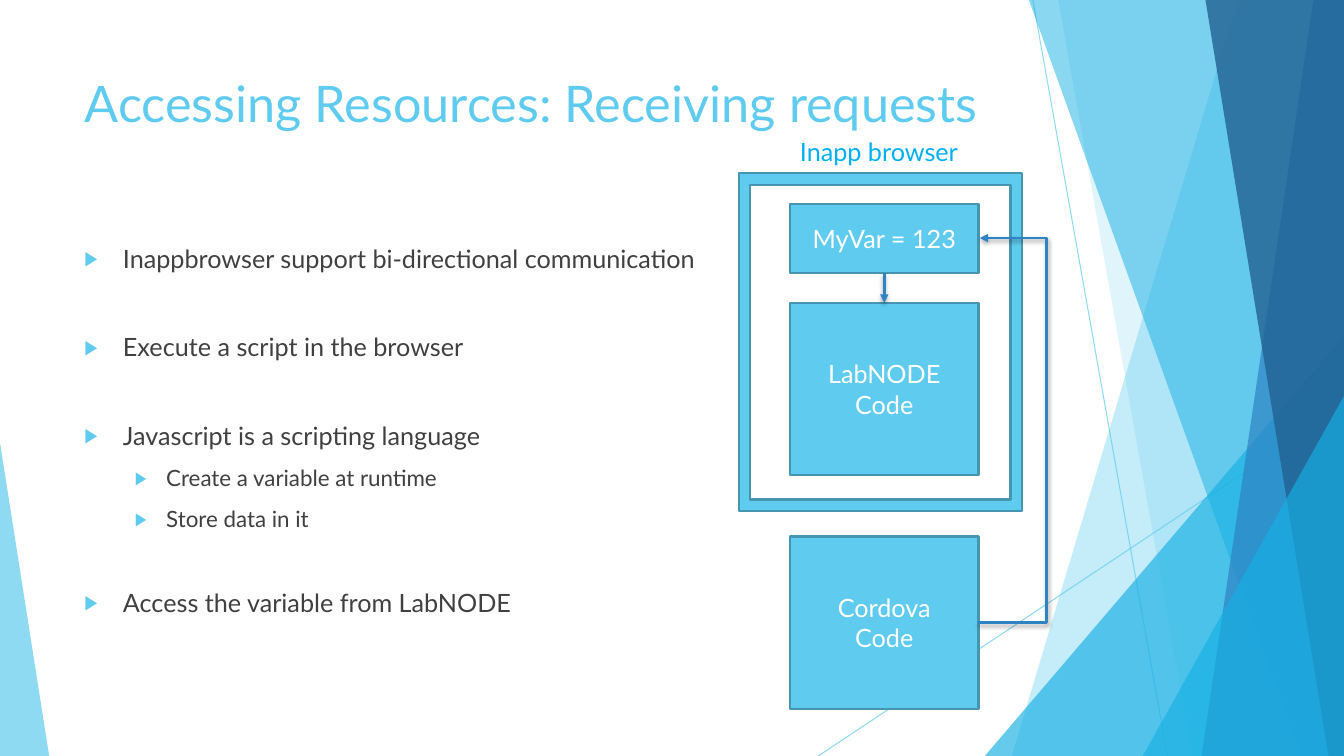
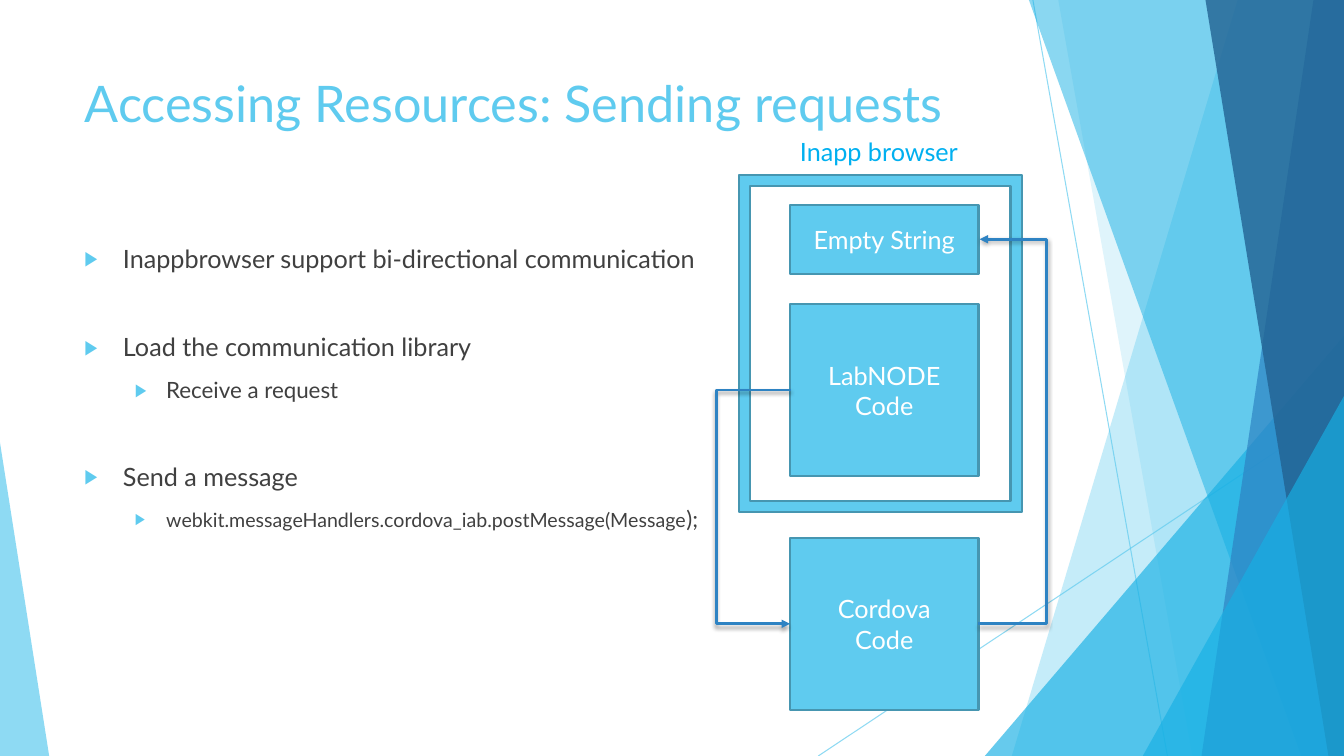
from pptx import Presentation
from pptx.dml.color import RGBColor
from pptx.enum.shapes import MSO_CONNECTOR, MSO_SHAPE
from pptx.enum.text import MSO_ANCHOR, MSO_AUTO_SIZE, PP_ALIGN
from pptx.oxml import parse_xml
from pptx.oxml.ns import nsdecls
from pptx.util import Cm, Pt

FONT = "Lato"
SKY, CYAN, BLUE, NAVY = "5FCBEF", "17B0E4", "2E83C3", "226292"
EDGE, LABEL, GREY, WHITE = "4696B1", "00B0F0", "404040", "FFFFFF"
WIDTH, HEIGHT = 33.87, 19.05
NS = nsdecls("a")


def paint(fill, colour):
    fill.solid()
    fill.fore_color.rgb = RGBColor.from_string(colour)


def write(para, text, size, colour):
    span = para.add_run()
    span.text = text
    span.font.name = FONT
    span.font.size = Pt(size)
    paint(span.font.fill, colour)


deck = Presentation()
deck.slide_width, deck.slide_height = Cm(WIDTH), Cm(HEIGHT)
layout = deck.slide_layouts[5]

# Facets from back to front: (kind, geometry, colour, opacity in percent)
# line: x1, y1, x2, y2; band: top x, bottom x; triangle: left, top, width, apex
FACETS = [
    ("line", (26.03, 0, 29.42, HEIGHT), SKY, 70),
    ("line", (WIDTH, 10.24, 20.62, HEIGHT), SKY, 70),
    ("band", (31.19, 25.5), SKY, 36),
    ("band", (26.67, 30.05), SKY, 20),
    ("triangle", (24.82, 8.46, 9.05, 1), CYAN, 66),
    ("band", (25.93, 32.79), CYAN, 50),
    ("band", (33.1, 30.28), BLUE, 70),
    ("band", (30.38, 33.48), NAVY, 80),
    ("triangle", (28.8, 9.98, 5.07, 1), CYAN, 66),
    ("triangle", (0, 11.15, 1.24, 0), SKY, 70),
]

# (title, list, variable box text, vertical shift, reply arrow)
# list entry: (level, space before, [(text, size), ...])
SLIDES = [
    ("Accessing Resources: Receiving requests", [
        (0, 0, [("Inappbrowser support bi-directional communication", 18)]),
        (0, 41.6, [("Execute a script in the browser", 18)]),
        (0, 41.6, [("Javascript is a scripting language", 18)]),
        (1, 10, [("Create a variable at runtime", 16)]),
        (1, 10, [("Store data in it", 16)]),
        (0, 39.2, [("Access the variable from LabNODE", 18)]),
    ], "MyVar = 123", 0, False),
    ("Accessing Resources: Sending requests", [
        (0, 0, [("Inappbrowser support bi-directional communication", 18)]),
        (0, 41.6, [("Load the communication library", 18)]),
        (1, 10, [("Receive a request", 16)]),
        (0, 41.6, [("Send a message", 18)]),
        (1, 10, [("webkit.messageHandlers.cordova_iab.postMessage(Message", 14),
                 (");", 16)]),
    ], "Empty String", 0.03, True),
]
INDENTS = [(0.97, -0.97), (2.06, -0.79)]  # left margin and hanging indent
BOX_LEFT, BOX_WIDTH = 19.91, 4.75
BOX_RIGHT = BOX_LEFT + BOX_WIDTH

pages = [deck.slides.add_slide(layout) for _ in SLIDES]

# Shared facets: drawn once, then moved behind the layout's placeholders
for number, (kind, geometry, colour, opacity) in enumerate(FACETS):
    shapes = pages[0].shapes
    if kind == "line":
        facet = shapes.add_connector(MSO_CONNECTOR.STRAIGHT, *map(Cm, geometry))
        facet.line.width = Pt(0.75)
        paint(facet.line.fill, colour)
        facet.element.spPr.append(parse_xml(f"<a:effectLst {NS}/>"))
    else:
        if kind == "band":
            top_x, bottom_x = geometry
            outline = shapes.build_freeform(Cm(top_x), Cm(0))
            outline.add_line_segments([(Cm(x), Cm(y)) for x, y in (
                (WIDTH, 0), (WIDTH, HEIGHT), (bottom_x, HEIGHT))])
            facet = outline.convert_to_shape()
        else:
            left, top, width, apex = geometry
            facet = shapes.add_shape(MSO_SHAPE.ISOSCELES_TRIANGLE, Cm(left), Cm(top),
                                     Cm(width), Cm(HEIGHT - top))
            facet.adjustments[0] = apex
        facet.shadow.inherit = False
        facet.line.fill.background()
        paint(facet.fill, colour)
    tint = facet.element.xpath(".//a:srgbClr")[0]
    tint.append(parse_xml(f'<a:alpha {NS} val="{opacity * 1000}"/>'))
    facet.element.xpath(".//p:cNvPr")[0].set("id", str(100 + number))
    layout.shapes.element.insert(2 + number, facet.element)

for page, (heading, entries, variable, shift, reply) in zip(pages, SLIDES):
    # Title
    title = page.shapes.title
    title.left, title.top, title.width, title.height = map(Cm, (1.88, 1.7, 23.88, 3.66))
    frame = title.text_frame
    frame.auto_size = MSO_AUTO_SIZE.NONE
    frame.word_wrap = True
    frame.vertical_anchor = MSO_ANCHOR.TOP
    frame.paragraphs[0].alignment = PP_ALIGN.LEFT
    write(frame.paragraphs[0], heading, 36, SKY)

    # Bulleted list
    frame = page.shapes.add_textbox(Cm(1.88), Cm(6), Cm(23.88), Cm(10.77)).text_frame
    frame.word_wrap = True
    for index, (level, space, spans) in enumerate(entries):
        para = frame.add_paragraph() if index else frame.paragraphs[0]
        margin, hanging = INDENTS[level]
        properties = para._p.get_or_add_pPr()
        properties.set("marL", str(Cm(margin)))
        properties.set("indent", str(Cm(hanging)))
        for bullet in (f'<a:buClr {NS}><a:srgbClr val="{SKY}"/></a:buClr>',
                       f'<a:buSzPct {NS} val="80000"/>',
                       f'<a:buFont {NS} typeface="{FONT}"/>',
                       f'<a:buChar {NS} char="▶"/>'):
            properties.append(parse_xml(bullet))
        para.level = level
        para.space_before = Pt(space)
        for text, size in spans:
            write(para, text, size, GREY)

    # Browser frame and boxes
    boxes = []
    for preset, left, top, width, height, lines in (
            (MSO_SHAPE.FRAME, 18.62, 4.37, 7.14, 8.51, []),
            (MSO_SHAPE.RECTANGLE, BOX_LEFT, 5.14, BOX_WIDTH, 1.73, [variable]),
            (MSO_SHAPE.RECTANGLE, BOX_LEFT, 7.63, BOX_WIDTH, 4.34, ["LabNODE", "Code"]),
            (MSO_SHAPE.RECTANGLE, BOX_LEFT, 13.52, BOX_WIDTH, 4.34, ["Cordova", "Code"])):
        box = page.shapes.add_shape(preset, Cm(left), Cm(top + shift), Cm(width), Cm(height))
        box.shadow.inherit = False
        paint(box.fill, SKY)
        paint(box.line.fill, EDGE)
        box.line.width = Pt(1.5)
        frame = box.text_frame
        frame.vertical_anchor = MSO_ANCHOR.MIDDLE
        for index, text in enumerate(lines):
            para = frame.add_paragraph() if index else frame.paragraphs[0]
            para.alignment = PP_ALIGN.CENTER
            write(para, text, 18, WHITE)
        boxes.append(box)
    browser, variable_box, code_box, cordova_box = boxes
    browser.adjustments[0] = 0.041

    # Browser label
    label = page.shapes.add_textbox(Cm(BOX_LEFT), Cm(3.32), Cm(4.57), Cm(1.02))
    label.text_frame.word_wrap = False
    write(label.text_frame.paragraphs[0], "Inapp browser", 18, LABEL)

    # Elbow arrows: begin x, y, end x, y and how far the bend reaches sideways
    elbows = [(BOX_RIGHT, 15.69, BOX_RIGHT + 0.03, 6, 1.72)]
    if reply:
        elbows.append((BOX_LEFT + 0.03, 9.8, BOX_LEFT, 15.69, 1.88))
    arrows = []
    for begin_x, begin_y, end_x, end_y, reach in elbows:
        arrow = page.shapes.add_connector(MSO_CONNECTOR.ELBOW, Cm(begin_x), Cm(begin_y + shift),
                                          Cm(end_x), Cm(end_y + shift))
        bend = round(reach / abs(end_x - begin_x) * 100000)
        guides = arrow.element.spPr.find(".//{*}prstGeom").get_or_add_avLst()
        guides.append(parse_xml(f'<a:gd {NS} name="adj1" fmla="val {bend}"/>'))
        arrows.append(arrow)

    # Straight arrow from the variable to the code
    if not reply:
        arrow = page.shapes.add_connector(MSO_CONNECTOR.STRAIGHT, 0, 0, 0, 0)
        arrow.begin_connect(variable_box, 2)
        arrow.end_connect(code_box, 0)
        arrows.append(arrow)

    # Arrow style
    for arrow in arrows:
        paint(arrow.line.fill, BLUE)
        arrow.line.width = Pt(2)
        arrow.element.spPr.find("{*}ln").append(parse_xml(f'<a:tailEnd {NS} type="triangle"/>'))
        arrow.element.spPr.append(parse_xml(
            f'<a:effectLst {NS}><a:outerShdw blurRad="{Pt(3)}" dist="{Pt(2)}" dir="5400000" '
            'rotWithShape="0"><a:srgbClr val="000000"><a:alpha val="35000"/></a:srgbClr>'
            '</a:outerShdw></a:effectLst>'))

deck.save("out.pptx")
